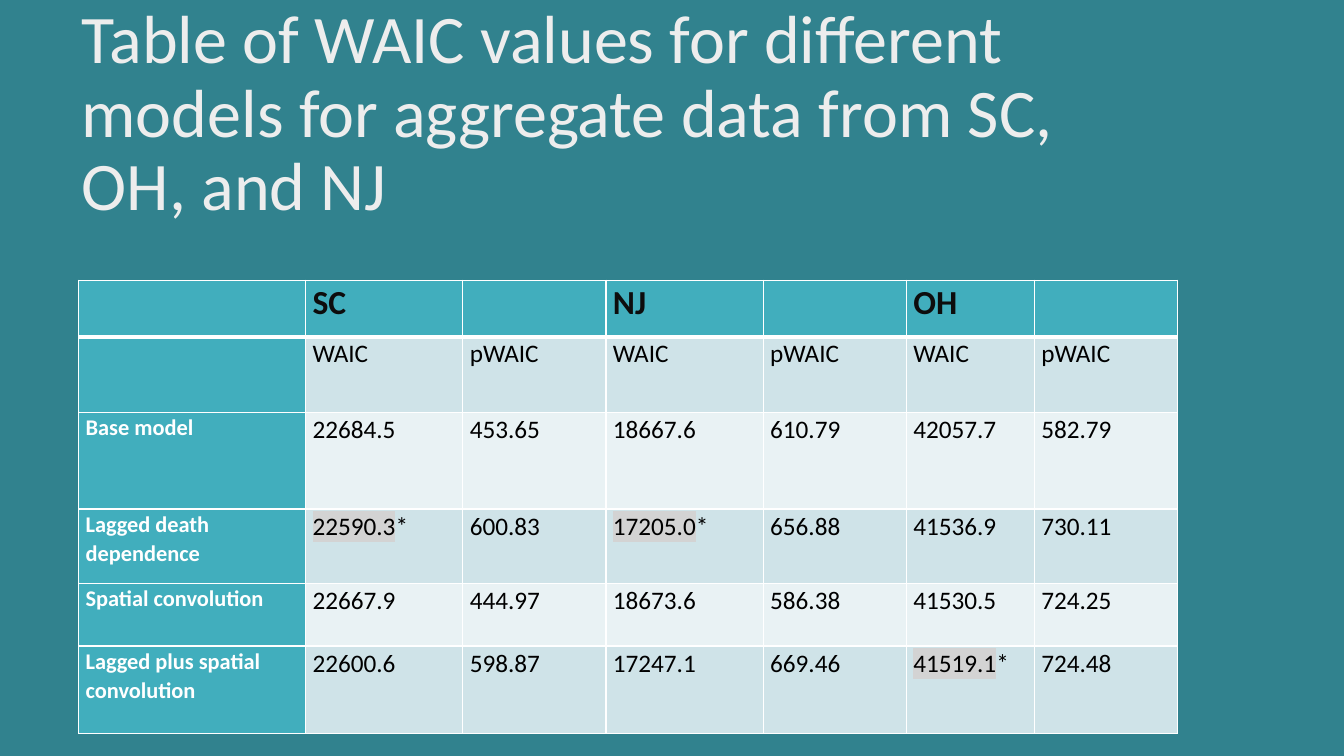
import pptx
import pptx.util
import pptx.dml.color
import pptx.enum.text
import lxml.etree

TITLE = ("Table of WAIC values for different models for aggregate data "
         "from SC, OH, and NJ")
# A star marks the best value of a state; its number is highlighted.
ROWS = [
    ["", "SC", "", "NJ", "", "OH", ""],
    ["", "WAIC", "pWAIC", "WAIC", "pWAIC", "WAIC", "pWAIC"],
    ["Base model", "22684.5", "453.65", "18667.6", "610.79", "42057.7", "582.79"],
    ["Lagged death dependence", "22590.3*", "600.83", "17205.0*", "656.88",
     "41536.9", "730.11"],
    ["Spatial convolution", "22667.9", "444.97", "18673.6", "586.38",
     "41530.5", "724.25"],
    ["Lagged plus spatial convolution", "22600.6", "598.87", "17247.1", "669.46",
     "41519.1*", "724.48"],
]
WIDTHS = [2.25, 1.56, 1.42, 1.56, 1.42, 1.27, 1.42]
HEIGHTS = [0.56, 0.75, 0.96, 0.74, 0.62, 0.87]
BACK, TEAL, BANDS, MARK = "31828E", "41AEBD", ("E9F2F4", "CFE3E8"), "D3D3D3"
HEAD = {"size": 24, "bold": True, "hue": "0D0D0D"}
SIDE = {"size": 16, "bold": True, "hue": "FFFFFF"}
BODY = {"size": 18, "bold": False, "hue": "000000"}
LEAD = {"size": 48.6, "bold": False, "hue": "EDEDED"}
inch = pptx.util.Inches


def paint(fill, hue):
    fill.solid()
    fill.fore_color.rgb = pptx.dml.color.RGBColor.from_string(hue)


def style(font, look):
    values = {"name": "Calibri", "size": pptx.util.Pt(look["size"]),
              "bold": look["bold"]}
    for key, value in values.items():
        setattr(font, key, value)
    paint(font.fill, look["hue"])


def node(parent, tag, **attrs):
    return lxml.etree.SubElement(parent, pptx.oxml.ns.qn(tag), attrs)


def mark(run):
    """Highlight a run; the schema wants this right after its fill."""
    props = run.font._element if hasattr(run.font, "_element") else run._r.get_or_add_rPr()
    light = node(props, "a:highlight")
    node(light, "a:srgbClr", val=MARK)
    props.find(pptx.oxml.ns.qn("a:solidFill")).addnext(light)


def edge(cell, row):
    props = cell._tc.get_or_add_tcPr()
    for side in "LRTB":
        thick = (row, side) in ((0, "B"), (1, "T"))
        line = node(props, "a:ln" + side, w=str(pptx.util.Pt(3 if thick else 1)))
        node(node(line, "a:solidFill"), "a:srgbClr", val="FFFFFF")


def write(cell, text, look):
    for key, size in {"left": 0.07, "right": 0.07, "top": 0, "bottom": 0}.items():
        setattr(cell, "margin_" + key, inch(size))
    para = cell.text_frame.paragraphs[0]
    para.line_spacing = 1.07
    best = text.endswith("*")
    for part in [text[:-1], "*"] if best else [text]:
        run = para.add_run()
        run.text = part
        style(run.font, look)
        if best and part != "*":
            mark(run)


def head(slide):
    title = slide.shapes.title
    place = {"left": 0.71, "top": 0.5, "width": 10.29, "height": 1.29}
    for key, size in place.items():
        setattr(title, key, inch(size))
    frame = title.text_frame
    frame.text = TITLE
    frame.word_wrap = True
    frame.auto_size = pptx.enum.text.MSO_AUTO_SIZE.NONE
    frame.vertical_anchor = pptx.enum.text.MSO_ANCHOR.MIDDLE
    para = frame.paragraphs[0]
    para.alignment = pptx.enum.text.PP_ALIGN.LEFT
    para.line_spacing = 0.9
    style(para.runs[0].font, LEAD)


def grid(slide):
    table = slide.shapes.add_table(
        len(ROWS), len(WIDTHS), inch(0.78), inch(2.78),
        inch(sum(WIDTHS)), inch(sum(HEIGHTS))).table
    for col, width in zip(table.columns, WIDTHS):
        col.width = inch(width)
    for row, height in zip(table.rows, HEIGHTS):
        row.height = inch(height)
    for r, texts in enumerate(ROWS):
        for c, text in enumerate(texts):
            cell = table.cell(r, c)
            edge(cell, r)
            paint(cell.fill, TEAL if r == 0 or c == 0 else BANDS[r % 2])
            if text:
                write(cell, text, HEAD if r == 0 else SIDE if c == 0 else BODY)


def main():
    deck = pptx.Presentation()
    deck.slide_width, deck.slide_height = inch(13.33), inch(7.5)
    slide = deck.slides.add_slide(deck.slide_layouts[5])
    paint(slide.background.fill, BACK)
    head(slide)
    grid(slide)
    deck.save("out.pptx")


if __name__ == "__main__":
    main()
